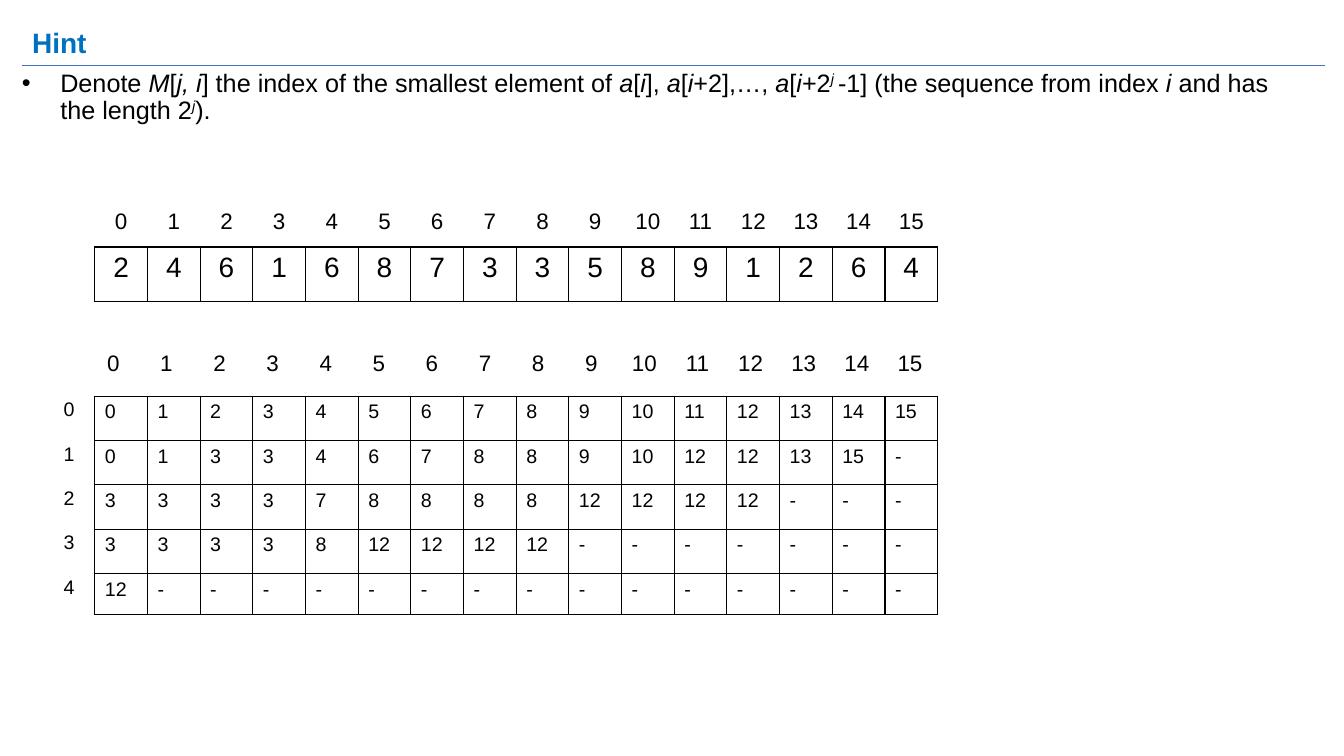
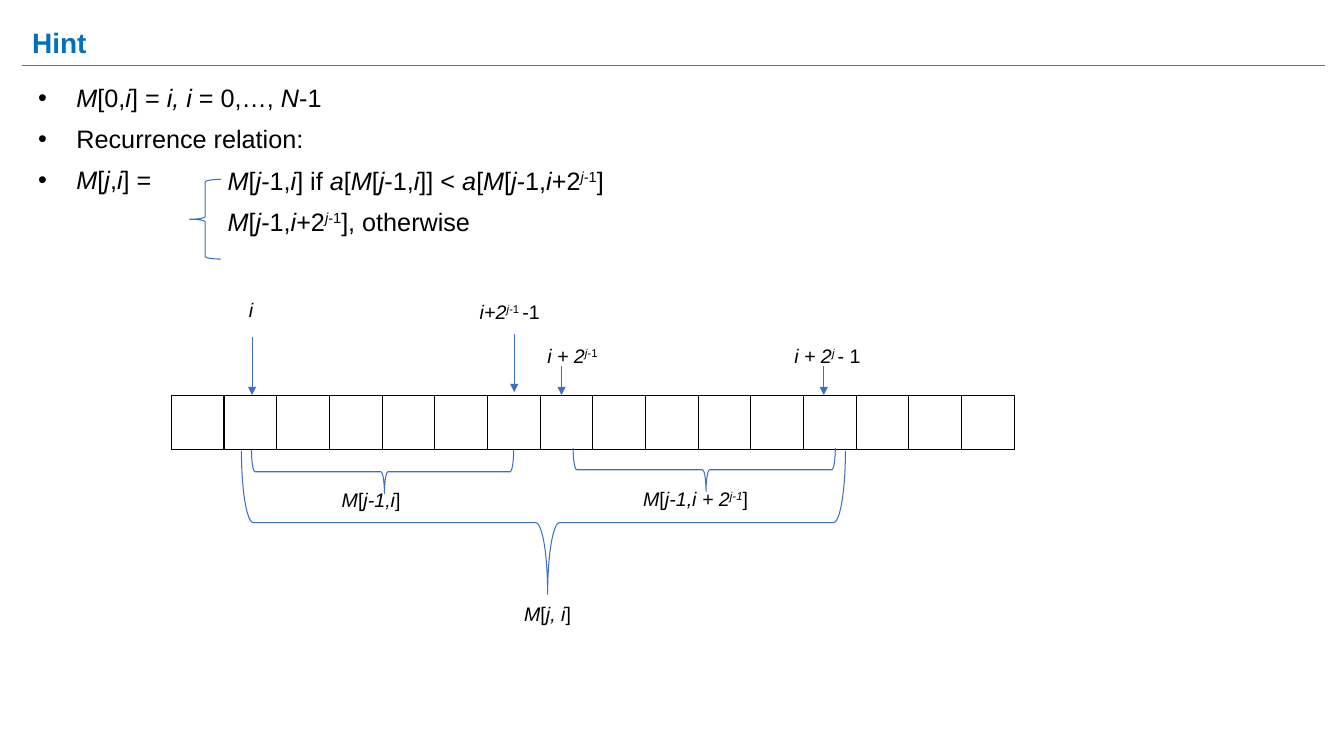
"""Build two hint slides on the sparse table for range minimum queries."""
from dataclasses import dataclass
from typing import Optional, Sequence

from lxml import etree
from pptx import Presentation
from pptx.dml.color import RGBColor
from pptx.enum.shapes import MSO_CONNECTOR, MSO_SHAPE
from pptx.enum.text import MSO_ANCHOR, PP_ALIGN
from pptx.oxml.ns import qn
from pptx.util import Inches, Pt

STRAIGHT = MSO_CONNECTOR.STRAIGHT
LEFT_BRACE = MSO_SHAPE.LEFT_BRACE
MIDDLE = MSO_ANCHOR.MIDDLE
CENTER = PP_ALIGN.CENTER
LEFT = PP_ALIGN.LEFT

COLORS = {"title": "0070C0", "text": "000000", "rule": "4472C4", "mark": "3F6FC3"}
FONT = "Arial"
BORDER_SIDES = ("a:lnL", "a:lnR", "a:lnT", "a:lnB")
ITALIC, RAISED = "*", "^"

ARRAY = (2, 4, 6, 1, 6, 8, 7, 3, 3, 5, 8, 9, 1, 2, 6, 4)
GRID_WIDTH = 8.36
BOX_HEIGHT = 0.54


@dataclass(frozen=True)
class Passage:
    """A block of body paragraphs; lengths are in inches."""
    left: float
    top: float
    width: float
    height: float
    paragraphs: Sequence[str]
    bulleted: bool = True


@dataclass(frozen=True)
class Grid:
    """A table of equal columns; lengths are in inches."""
    left: float
    top: float
    width: float
    row_heights: Sequence[float]
    rows: Sequence[Sequence[object]]
    size: float = 16
    align: PP_ALIGN = CENTER
    bordered: bool = False


@dataclass(frozen=True)
class Label:
    """A short formula beside the array."""
    markup: str
    left: float
    top: float
    width: float = 1.5


@dataclass(frozen=True)
class Arrow:
    """A vertical arrow that points down at an array index."""
    x: float
    top: float
    bottom: float


@dataclass(frozen=True)
class Brace:
    """A left brace, with its frame given before rotation."""
    left: float
    top: float
    width: float
    height: float
    rotation: float = 270
    tip: Optional[float] = 0.507


def write_text(paragraph, markup: str, *, size: float, color: str = "text",
               bold: bool = False, align: PP_ALIGN = LEFT,
               line_spacing: Optional[float] = None,
               space_before: Optional[float] = None) -> None:
    """Write text in which * toggles italic and ^ toggles superscript."""
    paragraph.alignment = align
    if line_spacing:
        paragraph.line_spacing = line_spacing
    if space_before:
        paragraph.space_before = Pt(space_before)
    for index, italic_part in enumerate(markup.split(ITALIC)):
        raised_parts = italic_part.split(RAISED)
        for position, words in enumerate(raised_parts):
            if not words:
                continue
            run = paragraph.add_run()
            run.text = words
            run.font.name = FONT
            run.font.size = Pt(size)
            run.font.bold = bold
            run.font.italic = index % 2 == 1
            run.font.color.rgb = RGBColor.from_string(COLORS[color])
            if position % 2 == 1:
                run._r.get_or_add_rPr().set("baseline", "30000")


def add_text_frame(slide, left: float, top: float, width: float, height: float):
    """Add a wrapping text box and return its text frame."""
    box = slide.shapes.add_textbox(Inches(left), Inches(top), Inches(width), Inches(height))
    box.text_frame.word_wrap = True
    return box.text_frame


def add_line(slide, start: tuple[float, float], end: tuple[float, float],
             color: str, arrow: bool = False) -> None:
    """Draw a thin straight line, with an arrowhead at its end if asked."""
    x1, y1, x2, y2 = (Inches(value) for value in (*start, *end))
    line = slide.shapes.add_connector(STRAIGHT, x1, y1, x2, y2)
    line.line.color.rgb = RGBColor.from_string(COLORS[color])
    line.line.width = Pt(0.75)
    if arrow:
        etree.SubElement(line.line._get_or_add_ln(), qn("a:tailEnd"), type="triangle")
    etree.SubElement(line._element.spPr, qn("a:effectLst"))


def add_hint_slide(deck):
    """Add a blank slide with the shared title and rule."""
    slide = deck.slides.add_slide(deck.slide_layouts[6])
    heading = add_text_frame(slide, 0.22, 0.15, 12.92, 0.59)
    heading.vertical_anchor = MIDDLE
    write_text(heading.paragraphs[0], "Hint", size=20, color="title", bold=True,
               line_spacing=0.9)
    add_line(slide, (0.22, 0.65), (13.14, 0.65), "rule")
    return slide


def add_passage(slide, passage: Passage) -> None:
    """Write the paragraphs of a passage, bulleted where asked."""
    frame = add_text_frame(slide, passage.left, passage.top, passage.width, passage.height)
    for index, markup in enumerate(passage.paragraphs):
        paragraph = frame.add_paragraph() if index else frame.paragraphs[0]
        write_text(paragraph, markup, size=18, line_spacing=0.9, space_before=10)
        if passage.bulleted:
            properties = paragraph._p.get_or_add_pPr()
            properties.set("marL", str(Inches(0.5)))
            properties.set("indent", str(Inches(-0.38)))
            bullet_color = etree.SubElement(properties, qn("a:buClr"))
            etree.SubElement(bullet_color, qn("a:srgbClr"), val=COLORS["text"])
            etree.SubElement(properties, qn("a:buFont"), typeface=FONT)
            etree.SubElement(properties, qn("a:buChar"), char="•")


def set_borders(cell, bordered: bool) -> None:
    """Give a cell black borders, or none."""
    properties = cell._tc.get_or_add_tcPr()
    for side in BORDER_SIDES:
        edge = etree.SubElement(properties, qn(side), w=str(Pt(1)))
        if bordered:
            fill = etree.SubElement(edge, qn("a:solidFill"))
            etree.SubElement(fill, qn("a:srgbClr"), val=COLORS["text"])
        else:
            etree.SubElement(edge, qn("a:noFill"))


def add_grid(slide, grid: Grid) -> None:
    """Draw a grid as an unfilled table."""
    columns = len(grid.rows[0])
    table = slide.shapes.add_table(
        len(grid.rows), columns, Inches(grid.left), Inches(grid.top),
        Inches(grid.width), Inches(sum(grid.row_heights))).table
    table.first_row = False
    table.horz_banding = False
    for column in table.columns:
        column.width = Inches(grid.width / columns)
    for row, height, values in zip(table.rows, grid.row_heights, grid.rows):
        row.height = Inches(height)
        for cell, value in zip(row.cells, values):
            set_borders(cell, grid.bordered)
            cell.fill.background()
            write_text(cell.text_frame.paragraphs[0], str(value),
                       size=grid.size, align=grid.align)


def add_brace(slide, brace: Brace) -> None:
    """Draw an outlined brace."""
    shape = slide.shapes.add_shape(LEFT_BRACE, Inches(brace.left), Inches(brace.top),
                                   Inches(brace.width), Inches(brace.height))
    shape.rotation = brace.rotation
    if brace.tip:
        shape.adjustments[1] = brace.tip
    shape.shadow.inherit = False
    shape.fill.background()
    shape.line.color.rgb = RGBColor.from_string(COLORS["mark"])
    shape.line.width = Pt(0.75)


def smallest_indices(values: Sequence[int], levels: int) -> list[list[object]]:
    """Return M[j, i] by the recurrence, with a dash where no range fits."""
    count = len(values)
    table: list[list[object]] = [list(range(count))]
    for level in range(1, levels):
        half = 2 ** (level - 1)
        previous = table[-1]
        starts = range(count - 2 * half + 1)
        pairs = [(previous[start], previous[start + half]) for start in starts]
        found = [first if values[first] < values[second] else second
                 for first, second in pairs]
        table.append(found + ["-"] * (count - len(found)))
    return table


DEFINITION = Passage(0, 0.65, 13.03, 5.47, (
    "Denote *M*[*j, i*] the index of the smallest element of *a*[*i*], *a*[*i*+2],…, "
    "*a*[*i*+2*^j ^*-1] (the sequence from index *i* and has the length 2*^j^*).",
))
RECURRENCE = Passage(0.16, 0.8, 12.92, 5.47, (
    "*M*[0,*i*] = *i, i* = 0,…, *N*-1",
    "Recurrence relation:",
    "*M*[*j*,*i*] =",
))
CASES = Passage(2.16, 1.62, 10.92, 0.8, (
    "*M*[*j*-1,*i*] if *a*[*M*[*j*-1,*i*]] < *a*[*M*[*j*-1,*i*+2*^j^*^-1^]",
    "*M*[*j*-1,*i*+2*^j^*^-1^], otherwise",
), bulleted=False)
INDICES = range(len(ARRAY))
LEVELS = 5
EXAMPLE_GRIDS = (
    Grid(0.94, 2.45, GRID_WIDTH, [BOX_HEIGHT], [ARRAY], size=20, bordered=True),
    Grid(0.94, 2.03, GRID_WIDTH, [0.47], [INDICES]),
    Grid(0.94, 3.93, GRID_WIDTH, [0.44] * 4 + [0.41], smallest_indices(ARRAY, LEVELS),
         size=14, align=LEFT, bordered=True),
    Grid(0.86, 3.44, 8.43, [0.47], [INDICES]),
    Grid(0.42, 3.91, 0.53, [0.44] * LEVELS, [[level] for level in range(LEVELS)], size=14),
)
EMPTY_ARRAY = Grid(1.7, 3.92, GRID_WIDTH, [BOX_HEIGHT], [[""] * len(ARRAY)], bordered=True)
LABELS = (
    Label("*i*", 2.37, 2.91, 0.55),
    Label("*i+2^j-^*^1 ^-1", 4.66, 2.93),
    Label("*i + 2^j-^*^1^", 5.33, 3.36),
    Label("*i + 2^j ^*- 1", 7.78, 3.36),
    Label("*M*[*j-1,i*]", 3.29, 4.79),
    Label("*M*[*j-1,i + 2^j-1^*]", 6.28, 4.78, 1.89),
    Label("*M*[*j, i*]", 5.1, 5.92),
)
ARROWS = (
    Arrow(2.5, 3.34, 3.92),
    Arrow(5.1, 3.31, 3.89),
    Arrow(5.57, 3.63, 3.92),
    Arrow(8.17, 3.63, 3.92),
)
BRACES = (
    Brace(1.88, 1.78, 0.31, 0.79, rotation=0, tip=None),
    Brace(3.58, 3.38, 0.43, 2.6),
    Brace(6.77, 3.36, 0.43, 2.6),
    Brace(4.68, 2.19, 1.42, 5.99),
)


def main() -> None:
    """Build and save the deck."""
    deck = Presentation()
    deck.slide_width = Inches(13.33)
    deck.slide_height = Inches(7.5)

    example = add_hint_slide(deck)
    add_passage(example, DEFINITION)
    for grid in EXAMPLE_GRIDS:
        add_grid(example, grid)

    relation = add_hint_slide(deck)
    for passage in (RECURRENCE, CASES):
        add_passage(relation, passage)
    add_grid(relation, EMPTY_ARRAY)
    for brace in BRACES:
        add_brace(relation, brace)
    for arrow in ARROWS:
        add_line(relation, (arrow.x, arrow.top), (arrow.x, arrow.bottom), "mark", arrow=True)
    for label in LABELS:
        frame = add_text_frame(relation, label.left, label.top, label.width, 0.4)
        write_text(frame.paragraphs[0], label.markup, size=14)

    deck.save("out.pptx")


main()
